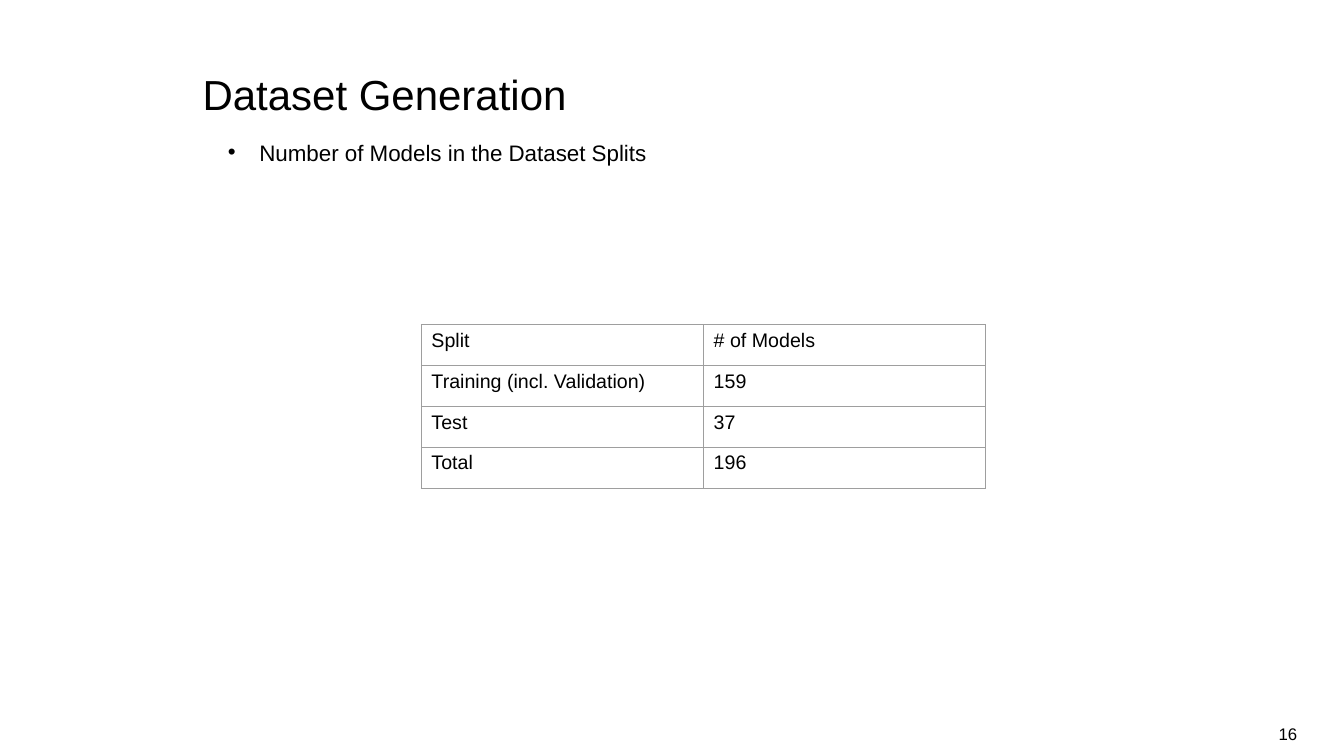
from dataclasses import dataclass

from lxml import etree
from pptx import Presentation
from pptx import util as u
from pptx.dml.color import RGBColor
from pptx.enum import text
from pptx.oxml import ns

FONT = "Arial"
COLORS = {"text": "000000", "border": "9E9E9E", "background": "FFFFFF"}
COLUMN_WIDTH = 201.6
ROW_HEIGHT = 29.2


@dataclass(frozen=True)
class Box:
    left: float
    top: float
    width: float
    height: float

    def lengths(self) -> tuple:
        return tuple(u.Pt(n) for n in (self.left, self.top, self.width, self.height))


@dataclass(frozen=True)
class Split:
    name: str
    models: str


TITLE_BOX = Box(144.7, 46.1, 670.3, 77.8)
BODY_BOX = Box(144.7, 96.5, 670.3, 370.1)
NUMBER_BOX = Box(711.4, 509.8, 215.3, 28.8)
TABLE_ORIGIN = (301, 231.8)
SPLITS = [
    Split("Split", "# of Models"),
    Split("Training (incl. Validation)", "159"),
    Split("Test", "37"),
    Split("Total", "196"),
]


def write_text(frame, content: str, *, size: float, align=text.PP_ALIGN.LEFT,
               spacing: float = 1.0):
    paragraph = frame.paragraphs[0]
    paragraph.alignment = align
    paragraph.line_spacing = spacing
    run = paragraph.add_run()
    run.text = content
    run.font.name = FONT
    run.font.size = u.Pt(size)
    run.font.color.rgb = RGBColor.from_string(COLORS["text"])
    return paragraph


def set_frame(frame, *, vertical_margin: float = 0,
              anchor=text.MSO_ANCHOR.TOP, auto_size=text.MSO_AUTO_SIZE.NONE) -> None:
    frame.word_wrap = True
    frame.auto_size = auto_size
    frame.vertical_anchor = anchor
    frame.margin_left = frame.margin_right = 0
    frame.margin_top = frame.margin_bottom = u.Pt(vertical_margin)


def add_solid_color(parent, color: str) -> None:
    fill = etree.SubElement(parent, ns.qn("a:solidFill"))
    etree.SubElement(fill, ns.qn("a:srgbClr"), val=color)


def add_bullet(paragraph, *, indent: float, hanging: float) -> None:
    properties = paragraph._p.get_or_add_pPr()
    properties.set("marL", str(u.Pt(indent)))
    properties.set("indent", str(-u.Pt(hanging)))
    color = etree.SubElement(properties, ns.qn("a:buClr"))
    etree.SubElement(color, ns.qn("a:srgbClr"), val=COLORS["text"])
    etree.SubElement(properties, ns.qn("a:buFont"), typeface=FONT)
    etree.SubElement(properties, ns.qn("a:buChar"), char="•")


def set_borders(cell, *, width: float) -> None:
    """Outline all four sides; call before filling, as lines precede the fill."""
    properties = cell._tc.get_or_add_tcPr()
    for side in ("a:lnL", "a:lnR", "a:lnT", "a:lnB"):
        line = etree.SubElement(properties, ns.qn(side), w=str(u.Pt(width)))
        add_solid_color(line, COLORS["border"])


def add_title(slide) -> None:
    title = slide.shapes.title
    title.left, title.top, title.width, title.height = TITLE_BOX.lengths()
    set_frame(title.text_frame, auto_size=text.MSO_AUTO_SIZE.SHAPE_TO_FIT_TEXT)
    write_text(title.text_frame, "Dataset Generation", size=30, spacing=1.07)


def add_body(slide) -> None:
    frame = slide.shapes.add_textbox(*BODY_BOX.lengths()).text_frame
    set_frame(frame)
    paragraph = write_text(frame, "Number of Models in the Dataset Splits",
                           size=16, spacing=1.14)
    add_bullet(paragraph, indent=40.5, hanging=22.5)


def add_slide_number(slide) -> None:
    frame = slide.shapes.add_textbox(*NUMBER_BOX.lengths()).text_frame
    set_frame(frame, vertical_margin=3.6, anchor=text.MSO_ANCHOR.MIDDLE)
    write_text(frame, "16", size=12, align=text.PP_ALIGN.RIGHT)


def add_split_table(slide) -> None:
    box = Box(*TABLE_ORIGIN, 2 * COLUMN_WIDTH, len(SPLITS) * ROW_HEIGHT)
    table = slide.shapes.add_table(len(SPLITS), 2, *box.lengths()).table
    table.first_row = table.horz_banding = False
    for row, split in enumerate(SPLITS):
        table.rows[row].height = u.Pt(ROW_HEIGHT)
        for column, content in enumerate((split.name, split.models)):
            cell = table.cell(row, column)
            set_borders(cell, width=0.75)
            cell.fill.background()
            write_text(cell.text_frame, content, size=14)


def main() -> None:
    presentation = Presentation()
    presentation.slide_width = u.Pt(960)
    presentation.slide_height = u.Pt(540)
    slide = presentation.slides.add_slide(presentation.slide_layouts[5])
    background = slide.background.fill
    background.solid()
    background.fore_color.rgb = RGBColor.from_string(COLORS["background"])
    add_body(slide)
    add_slide_number(slide)
    add_title(slide)
    add_split_table(slide)
    presentation.save("out.pptx")


if __name__ == "__main__":
    main()
